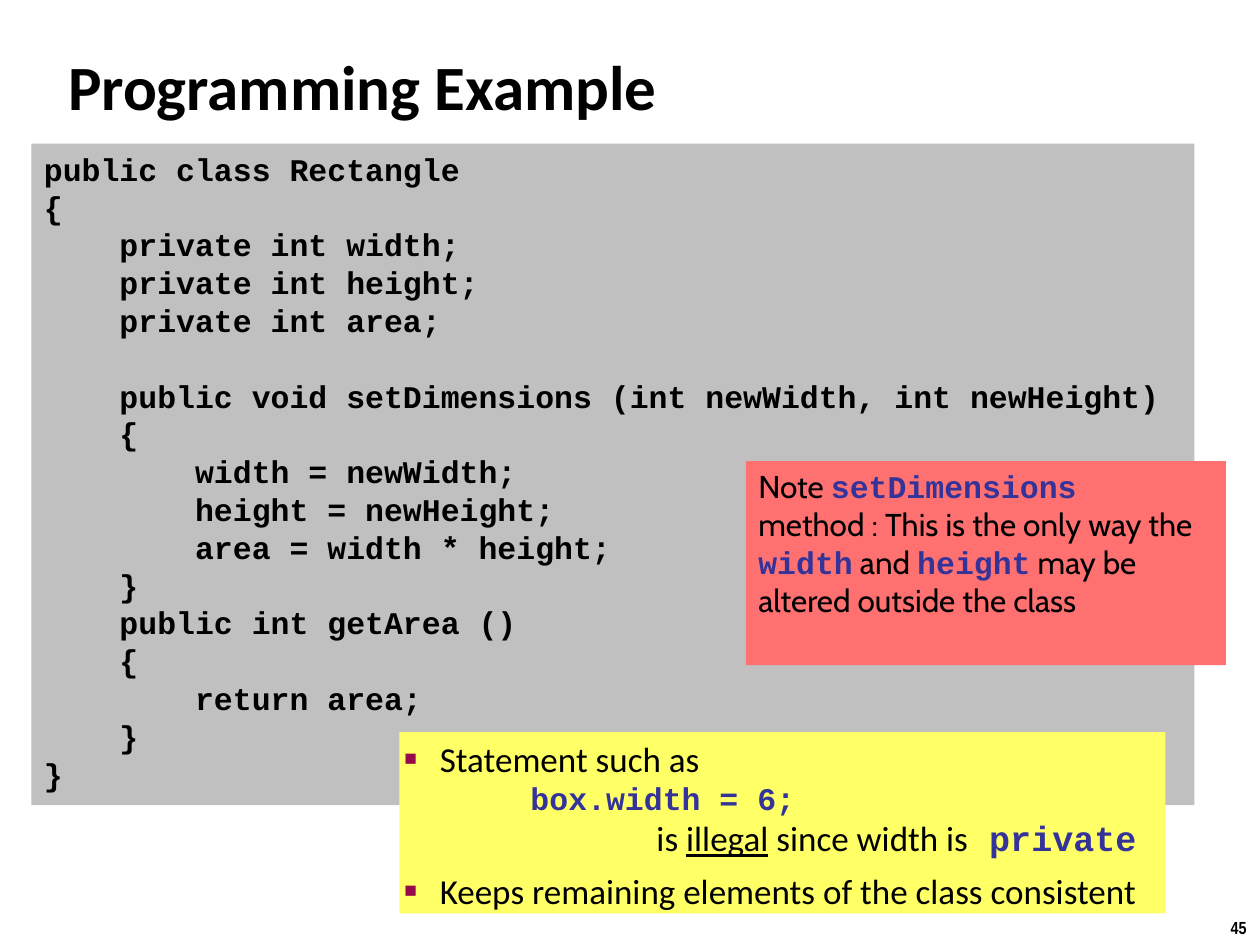
from lxml.etree import SubElement
from pptx import Presentation
from pptx.dml.color import RGBColor
from pptx.enum.shapes import MSO_SHAPE
from pptx.enum.text import MSO_ANCHOR, MSO_AUTO_SIZE, PP_ALIGN
from pptx.oxml.ns import qn
from pptx.util import Inches, Pt

BLACK, BLUE = "000000", "333399"
MONO = "Courier New"

CODE = """public class Rectangle
{
    private int width;
    private int height;
    private int area;
    
    public void setDimensions (int newWidth, int newHeight)
    {
        width = newWidth;
        height = newHeight;
        area = width * height;
    }
    public int getArea ()
    {
        return area;
    }
}"""

NOTE = [
    ("Note ", False),
    ("setDimensions ", True),
    ("method : This is the only way the ", False),
    ("width", True),
    (" and ", False),
    ("height", True),
    (" may be altered outside the class", False),
]


def color(code):
    """Turn a hex string into a colour."""
    return RGBColor.from_string(code)


def style(font, name, size, tint=BLACK, bold=False):
    """Set the face, size, colour and weight of a font."""
    font.name, font.size, font.bold = name, Pt(size), bold
    font.color.rgb = color(tint)


def place(shape, left, top, width, height):
    """Move and size a shape."""
    shape.left, shape.top = Inches(left), Inches(top)
    shape.width, shape.height = Inches(width), Inches(height)


def paint(shape, fill):
    """Give a shape a solid fill."""
    shape.fill.solid()
    shape.fill.fore_color.rgb = color(fill)


def inset(frame, size):
    """Set equal margins on all sides of a text frame."""
    frame.margin_left = frame.margin_right = Inches(size)
    frame.margin_top = frame.margin_bottom = Inches(size)


def panel(slide, box, fill):
    """Add a filled rectangle and return its text frame."""
    shape = slide.shapes.add_shape(MSO_SHAPE.RECTANGLE, *map(Inches, box))
    shape.shadow.inherit = False
    shape.line.fill.background()
    paint(shape, fill)
    frame = shape.text_frame
    frame.word_wrap = True
    frame.vertical_anchor = MSO_ANCHOR.TOP
    return frame


def span(para, text, name, size, tint=BLACK, bold=False):
    """Add one styled run to a paragraph."""
    run = para.add_run()
    run.text = text
    style(run.font, name, size, tint, bold)
    return run


def bullet(para, tabs=()):
    """Give a paragraph a hanging square bullet and tab stops."""
    props = para._p.get_or_add_pPr()
    props.set("marL", str(Inches(0.28)))
    props.set("indent", str(Inches(-0.28)))
    tint = SubElement(props, qn("a:buClr"))
    SubElement(tint, qn("a:srgbClr"), val="950849")
    SubElement(props, qn("a:buSzPct"), val="60000")
    SubElement(props, qn("a:buFont"), typeface="Arial")
    SubElement(props, qn("a:buChar"), char="■")
    if tabs:
        stops = SubElement(props, qn("a:tabLst"))
        for tab in tabs:
            SubElement(stops, qn("a:tab"), pos=str(Inches(tab)), algn="l")


def add_title(slide):
    """Fill the title placeholder."""
    title = slide.shapes.title
    place(title, 0.5, 0.08, 9.08, 1.19)
    frame = title.text_frame
    frame.text = "Programming Example"
    frame.auto_size = MSO_AUTO_SIZE.NONE
    frame.vertical_anchor = MSO_ANCHOR.MIDDLE
    inset(frame, 0.04)
    para = frame.paragraphs[0]
    para.alignment = PP_ALIGN.LEFT
    style(para.font, "Calibri", 36, bold=True)


def add_code(slide):
    """Add the class listing."""
    frame = panel(slide, (0.25, 1.14, 9.23, 5.25), "C0C0C0")
    frame.text = CODE
    for para in frame.paragraphs:
        para.alignment = PP_ALIGN.LEFT
        style(para.font, MONO, 18, bold=True)


def add_note(slide):
    """Add the note on the setter method."""
    para = panel(slide, (5.92, 3.66, 3.81, 1.62), "FF7070").paragraphs[0]
    para.alignment = PP_ALIGN.LEFT
    for text, mono in NOTE:
        if mono:
            span(para, text, MONO, 18, BLUE, True)
        else:
            span(para, text, "Cabin", 18)


def add_points(slide):
    """Fill the body placeholder and bring it to the front."""
    body = slide.placeholders[1]
    place(body, 3.17, 5.81, 6.08, 1.44)
    paint(body, "FFFF66")
    slide.shapes._spTree.append(body._element)
    frame = body.text_frame
    frame.auto_size = MSO_AUTO_SIZE.NONE
    inset(frame, 0.04)

    first = frame.paragraphs[0]
    bullet(first, (1, 2))
    first.space_before = Pt(0)
    span(first, "Statement such as", "Calibri", 20)
    first.add_line_break()
    span(first, "\tbox.width = 6;", MONO, 18, BLUE, True)
    first.add_line_break()
    span(first, "\t\tis ", "Calibri", 20)
    span(first, "illegal", "Calibri", 20).font.underline = True
    span(first, " since width is", "Calibri", 20)
    span(first, " private", MONO, 20, BLUE, True)

    last = frame.add_paragraph()
    last.text = "Keeps remaining elements of the class consistent"
    bullet(last)
    last.space_before = Pt(6)
    style(last.font, "Calibri", 20)


def add_number(slide):
    """Add the page number."""
    box = slide.shapes.add_textbox(*map(Inches, (9.66, 7.23, 0.34, 0.27)))
    frame = box.text_frame
    frame.word_wrap = False
    frame.text = "45"
    para = frame.paragraphs[0]
    para.alignment = PP_ALIGN.CENTER
    style(para.font, "Arial Narrow", 10, bold=True)


def main():
    """Build and save the slide."""
    deck = Presentation()
    deck.slide_width, deck.slide_height = Inches(10), Inches(7.5)
    slide = deck.slides.add_slide(deck.slide_layouts[1])
    add_number(slide)
    add_title(slide)
    add_code(slide)
    add_note(slide)
    add_points(slide)
    deck.save("out.pptx")


if __name__ == "__main__":
    main()
